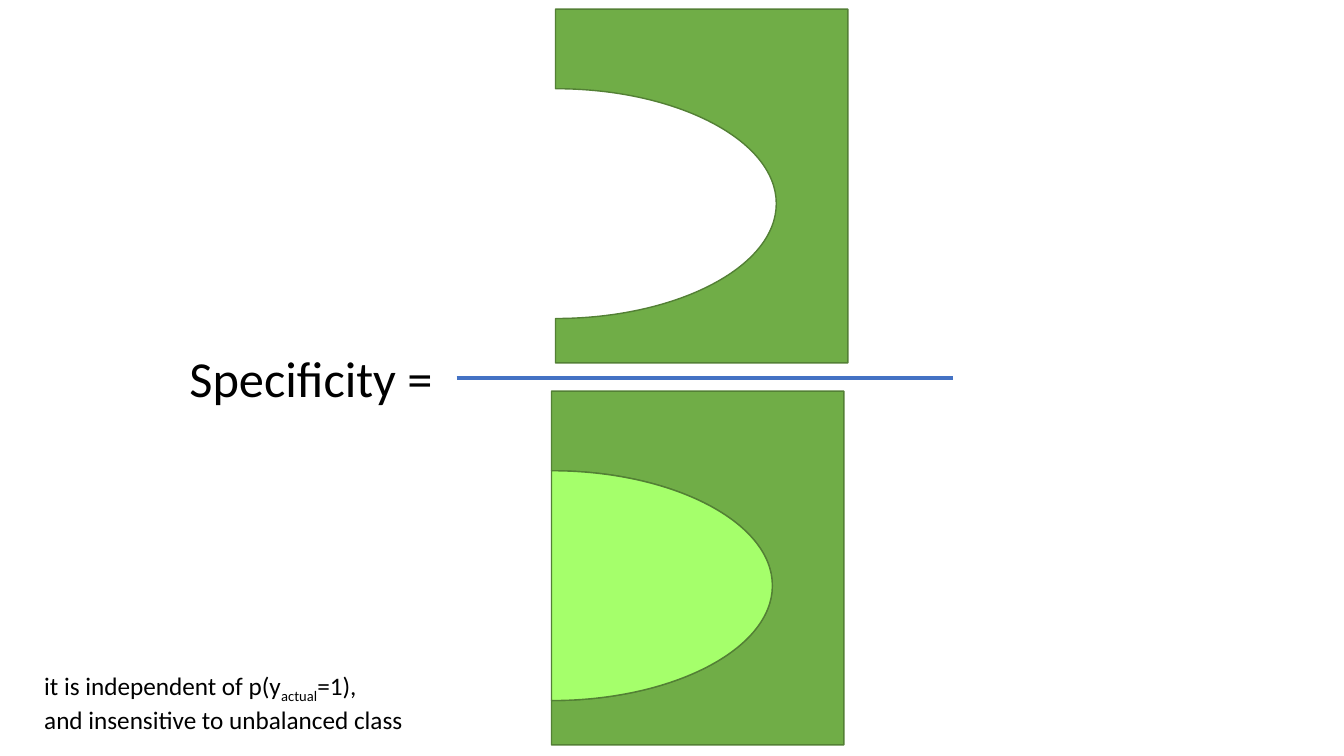
import pptx
import pptx.dml.color
import pptx.enum.shapes
import pptx.enum.text
import pptx.oxml.ns
import pptx.util
from lxml import etree

COLORS = {
    "negatives": "70AD47",
    "false_positives": "A5FF6B",
    "outline": "538035",
    "fraction_bar": "4472C4",
    "text": "000000",
}
WIDTH, HEIGHT = 13.33, 7.5
PANEL_WIDTH, PANEL_HEIGHT = 2.9, 3.51
RADIUS_X, RADIUS_Y = 2.19, 1.14
CENTER_DROP = 1.93  # from the panel's top to the middle of the half ellipse
KAPPA = 0.55  # handle length of a quarter ellipse, as a share of its radius
# Half ellipse from bottom to top: a start, then two Bézier curves of three points
HALF_ELLIPSE = [(0, 1), (KAPPA, 1), (1, KAPPA), (1, 0), (1, -KAPPA), (KAPPA, -1), (0, -1)]


def add_outline(points, color):
    """Draw a closed shape whose last six points form two Bézier curves."""
    corners = [(pptx.util.Inches(x), pptx.util.Inches(y)) for x, y in points]
    builder = slide.shapes.build_freeform(*corners[0])
    builder.add_line_segments(corners[1:], close=True)
    shape = builder.convert_to_shape()
    curve_lines = list(shape._element.iter(pptx.oxml.ns.qn("a:lnTo")))[-6:]
    for first in (0, 3):
        curve = etree.Element(pptx.oxml.ns.qn("a:cubicBezTo"))
        curve_lines[first].addprevious(curve)
        for line in curve_lines[first:first + 3]:
            curve.append(line[0])
            line.getparent().remove(line)
    shape.shadow.inherit = False
    shape.fill.solid()
    shape.fill.fore_color.rgb = pptx.dml.color.RGBColor.from_string(COLORS[color])
    shape.line.color.rgb = pptx.dml.color.RGBColor.from_string(COLORS["outline"])
    shape.line.width = pptx.util.Pt(1)


def add_label(left, top, width, size, lines):
    """Add a text box; each line is a list of (text, is_subscript) spans."""
    box = slide.shapes.add_textbox(*map(pptx.util.Inches, (left, top, width, 0.71)))
    box.text_frame.word_wrap = False
    box.text_frame.auto_size = pptx.enum.text.MSO_AUTO_SIZE.SHAPE_TO_FIT_TEXT
    para = box.text_frame.paragraphs[0]
    for number, line in enumerate(lines):
        if number:
            para.add_line_break()
        for text, is_subscript in line:
            span = para.add_run()
            span.text = text
            span.font.name = "Calibri"
            span.font.size = pptx.util.Pt(size)
            span.font.color.rgb = pptx.dml.color.RGBColor.from_string(COLORS["text"])
            if is_subscript:
                span.font._element.set("baseline", "-25000")
    return box


deck = pptx.Presentation()
deck.slide_width = pptx.util.Inches(WIDTH)
deck.slide_height = pptx.util.Inches(HEIGHT)
slide = deck.slides.add_slide(deck.slide_layouts[6])

# Fraction: bar and label
middle = pptx.util.Inches(HEIGHT / 2)
bar = slide.shapes.add_connector(
    pptx.enum.shapes.MSO_CONNECTOR.STRAIGHT,
    pptx.util.Inches(4.53), middle, pptx.util.Inches(9.45), middle,
)
bar.line.color.rgb = pptx.dml.color.RGBColor.from_string(COLORS["fraction_bar"])
bar.line.width = pptx.util.Pt(3.5)
etree.SubElement(bar._element.spPr, pptx.oxml.ns.qn("a:effectLst"))
specificity = add_label(1.78, 3.4, 2.75, 36, [[("Specificity =", False)]])
specificity.top = middle - specificity.height // 2
bar.begin_connect(specificity, 3)

# Denominator with a filled half ellipse, then numerator with an empty one
for left, top, has_false_positives in [(5.47, 3.88, True), (5.51, 0.09, False)]:
    right, bottom = left + PANEL_WIDTH, top + PANEL_HEIGHT
    arc = [
        (left + RADIUS_X * x, top + CENTER_DROP + RADIUS_Y * y)
        for x, y in HALF_ELLIPSE
    ]
    add_outline([(left, top), (right, top), (right, bottom), (left, bottom)] + arc, "negatives")
    if has_false_positives:
        add_outline(arc, "false_positives")

add_label(0.34, 6.6, 3.8, 18, [
    [("it is independent of p(y", False), ("actual", True), ("=1), ", False)],
    [("and insensitive to unbalanced class", False)],
])

deck.save("out.pptx")
